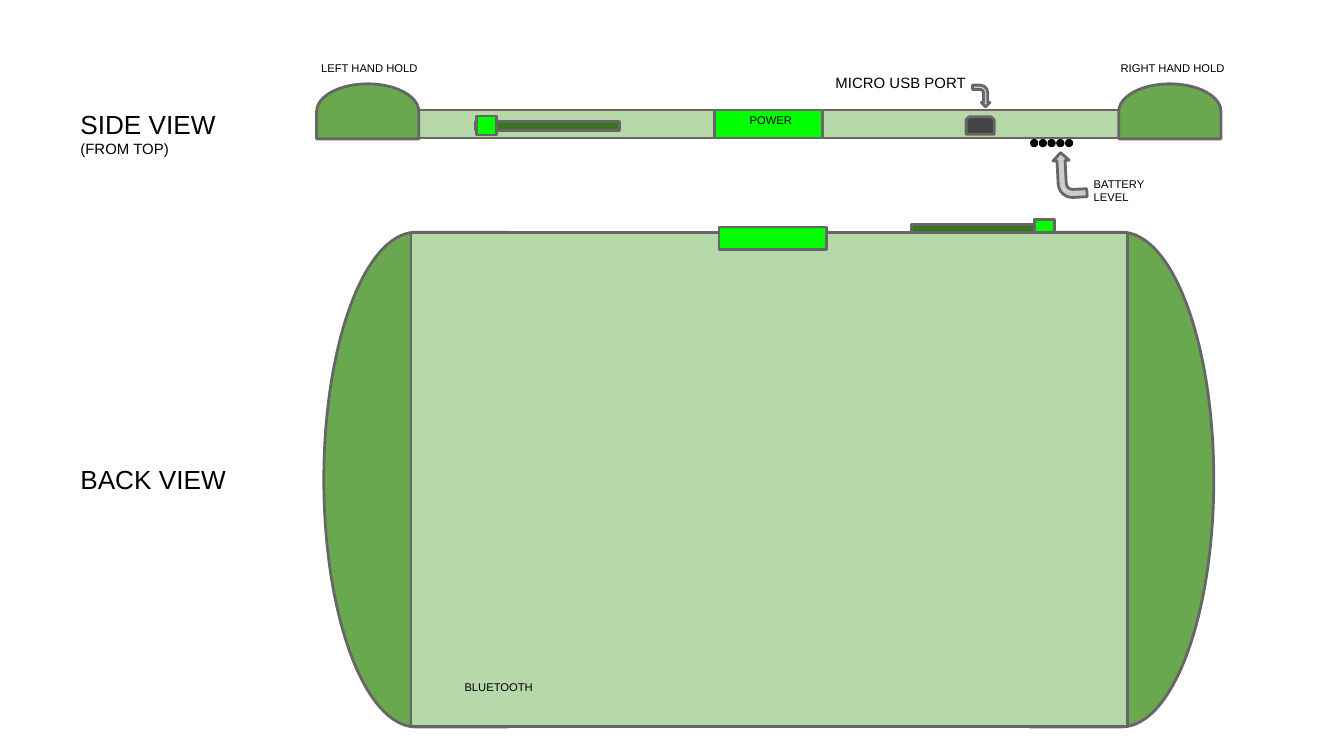
"""Draw the side and back views of a handheld device case."""
from dataclasses import dataclass

from pptx import Presentation
from pptx import util as u
from pptx.dml.color import RGBColor
from pptx.enum import shapes, text

KIND = shapes.MSO_SHAPE


@dataclass(frozen=True)
class Theme:
    font: str = "Arial"
    ink: str = "000000"
    outline: str = "666666"
    grip: str = "6AA84F"
    case: str = "B6D7A8"
    track: str = "38761D"
    button: str = "00FF00"
    port: str = "434343"
    arrow: str = "CCCCCC"
    title: int = 14
    note: int = 8
    label: int = 6
    stroke: float = 1.5
    fine: float = 0.75


THEME = Theme()


def add_part(page, kind, place, fill, turn=0, line=THEME.outline,
             weight=THEME.stroke, adjust=()):
    part = page.shapes.add_shape(kind, *map(u.Cm, place))
    part.shadow.inherit = False
    part.rotation = turn
    part.fill.solid()
    part.fill.fore_color.rgb = RGBColor.from_string(fill)
    part.line.color.rgb = RGBColor.from_string(line)
    part.line.width = u.Pt(weight)
    for index, value in enumerate(adjust):
        part.adjustments[index] = value
    return part


def add_label(page, place, *spans):
    box = page.shapes.add_textbox(*map(u.Cm, place))
    frame = box.text_frame
    frame.word_wrap = True
    frame.vertical_anchor = text.MSO_ANCHOR.TOP
    frame.margin_left = frame.margin_right = u.Cm(0.25)
    frame.margin_top = frame.margin_bottom = u.Cm(0.25)
    para = frame.paragraphs[0]
    for words, size in spans:
        span = para.add_run()
        span.text = words
        span.font.name = THEME.font
        span.font.size = u.Pt(size)
        span.font.color.rgb = RGBColor.from_string(THEME.ink)


def add_bent_arrow(page, place, turn):
    add_part(page, KIND.BENT_ARROW, place, THEME.arrow, turn,
             adjust=(0.25, 0.25, 0.25, 0.44))


def add_slider(page, track_left, track_top, knob_left, knob_top, turn):
    add_part(page, KIND.RECTANGLE, (track_left, track_top, 2.72, 0.18), THEME.track)
    add_part(page, KIND.RECTANGLE, (knob_left, knob_top, 0.36, 0.38), THEME.button, turn)


def add_battery_lights(page):
    for index in range(5):
        place = (19.48 + 0.165 * index, 2.64, 0.13, 0.13)
        add_part(page, KIND.OVAL, place, THEME.ink, line=THEME.ink, weight=THEME.fine)


def draw_back_view(page):
    for left, turn in ((6.12, 180), (19.46, 0)):
        add_part(page, KIND.FLOWCHART_DELAY, (left, 4.39, 3.48, 9.35), THEME.grip, turn)
    add_slider(page, 17.22, 4.24, 19.56, 4.14, 90)
    add_part(page, KIND.RECTANGLE, (7.77, 4.39, 13.54, 9.35), THEME.case)
    add_part(page, KIND.RECTANGLE, (13.59, 4.29, 2.03, 0.43), THEME.button)
    add_label(page, (1.27, 8.51, 4.09, 0.86), ("BACK VIEW", THEME.title))
    add_label(page, (8.53, 12.73, 2.03, 0.48), ("BLUETOOTH", THEME.label))


def draw_side_view(page):
    add_battery_lights(page)
    add_part(page, KIND.RECTANGLE, (7.72, 2.08, 13.64, 0.53), THEME.case)
    for left in (6.43, 21.59):
        add_part(page, KIND.FLOWCHART_DELAY, (left, 1.14, 1.04, 1.93), THEME.grip, 270)
    add_part(page, KIND.RECTANGLE, (13.51, 2.08, 2.03, 0.53), THEME.button)
    add_slider(page, 8.99, 2.29, 9.02, 2.18, 270)
    add_part(page, KIND.SNIP_2_SAME_RECTANGLE, (18.26, 2.21, 0.53, 0.33), THEME.port,
             adjust=(0.17, 0))
    add_label(page, (13.92, 2.01, 1.4, 0.71), ("POWER", THEME.label))
    add_label(page, (15.54, 1.22, 3.48, 0.53), ("MICRO USB PORT", THEME.note))
    add_bent_arrow(page, (18.34, 1.65, 0.41, 0.33), 90)
    add_label(page, (1.27, 1.8, 4.09, 0.86),
              ("SIDE VIEW ", THEME.title), ("(FROM TOP)", THEME.note))
    add_label(page, (5.82, 1.04, 2.72, 0.48), ("LEFT HAND HOLD", THEME.label))
    add_label(page, (20.93, 1.04, 2.59, 0.48), ("RIGHT HAND HOLD", THEME.label))
    add_label(page, (20.42, 3.12, 1.52, 0.48), ("BATTERY LEVEL", THEME.label))
    add_bent_arrow(page, (19.79, 3, 0.86, 0.61), 267)


def main():
    deck = Presentation()
    deck.slide_width, deck.slide_height = u.Cm(25.4), u.Cm(14.29)
    page = deck.slides.add_slide(deck.slide_layouts[6])
    draw_back_view(page)
    draw_side_view(page)
    deck.save("out.pptx")


if __name__ == "__main__":
    main()
